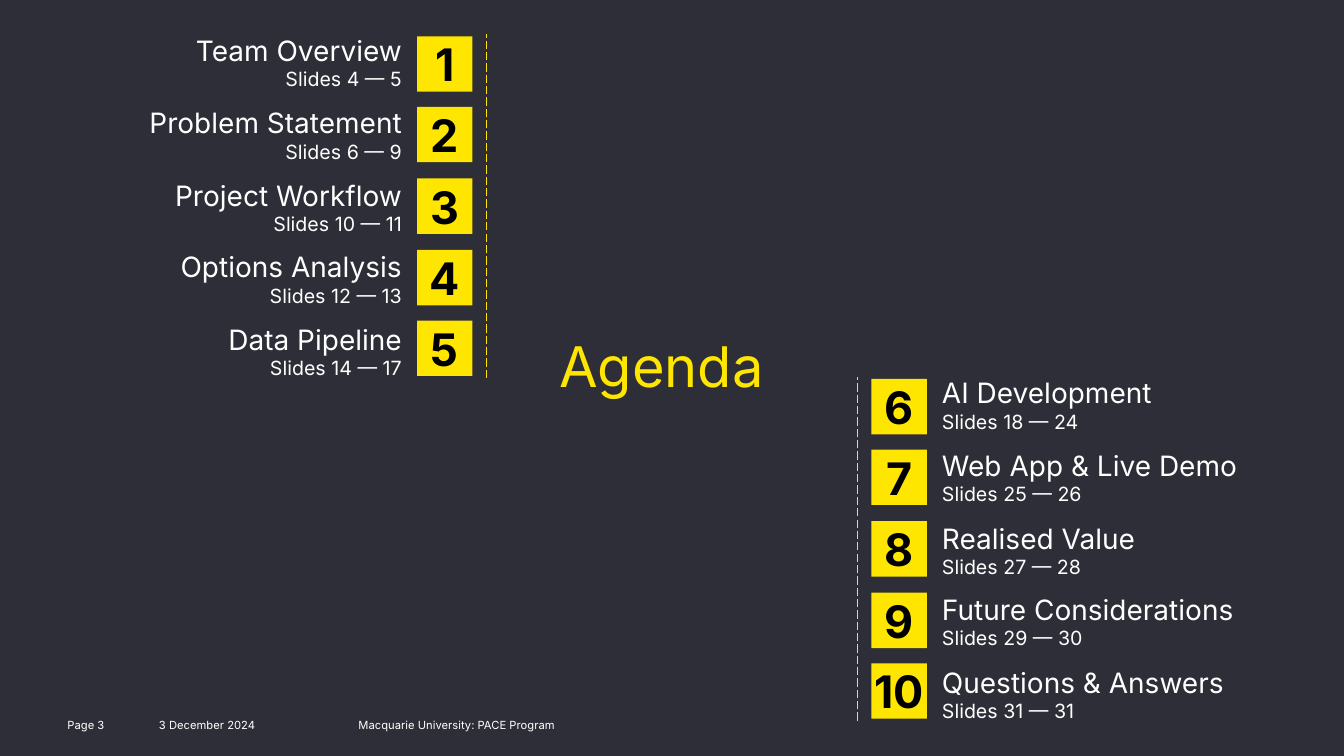
from lxml.etree import SubElement
from pptx import Presentation
from pptx.dml.color import RGBColor
from pptx.enum.dml import MSO_LINE_DASH_STYLE as Dash
from pptx.enum.shapes import MSO_CONNECTOR_TYPE as Link, MSO_SHAPE as Form
from pptx.enum.text import MSO_ANCHOR as Anchor, MSO_AUTO_SIZE as Fit, PP_ALIGN as Align
from pptx.oxml.ns import qn
from pptx.util import Pt

SCALE = 9144
FONT = "Inter"
DARK, GOLD, WHITE, BLACK = "2E2E38", "FFE600", "FFFFFF", "000000"
ROW, STEP = 71.75, 70.5

FIRST = [
    ("Team Overview", "Slides 4 — 5"),
    ("Problem Statement", "Slides 6 — 9"),
    ("Project Workflow", "Slides 10 — 11"),
    ("Options Analysis", "Slides 12 — 13"),
    ("Data Pipeline", "Slides 14 — 17"),
]
SECOND = [
    ("AI Development", "Slides 18 — 24"),
    ("Web App & Live Demo", "Slides 25 — 26"),
    ("Realised Value", "Slides 27 — 28"),
    ("Future Considerations", "Slides 29 — 30"),
    ("Questions & Answers", "Slides 31 — 31"),
]
FOOTER = [
    ("Page 3", 67, 73, 0),
    ("3 December 2024", 148, 130, 10),
    ("Macquarie University: PACE Program", 346, 338, 10),
]


def px(*sizes):
    return [size * SCALE for size in sizes]


def color(code):
    return RGBColor.from_string(code)


def add_run(para, text, size, code, bold=False):
    run = para.add_run()
    run.text = text
    font = run.font
    font.name, font.size, font.bold = FONT, Pt(size), bold
    font.color.rgb = color(code)


def set_frame(shape, align, anchor, pads=(0, 0, 0, 0)):
    frame = shape.text_frame
    frame.word_wrap = True
    frame.vertical_anchor = anchor
    (frame.margin_left, frame.margin_top,
     frame.margin_right, frame.margin_bottom) = px(*pads)
    para = frame.paragraphs[0]
    para.alignment = align
    return para


def add_label(slide, box, align, anchor=Anchor.TOP, pads=(0, 0, 0, 0)):
    return set_frame(slide.shapes.add_textbox(*px(*box)), align, anchor, pads)


def add_badge(slide, left, top, number):
    badge = slide.shapes.add_shape(Form.RECTANGLE, *px(left, top, 55, 55))
    badge.shadow.inherit = False
    badge.fill.solid()
    badge.fill.fore_color.rgb = color(GOLD)
    badge.line.fill.background()
    para = set_frame(badge, Align.CENTER, Anchor.MIDDLE)
    add_run(para, str(number), 32, BLACK, True)


def add_topic(slide, left, top, align, title, pages):
    box = slide.shapes.add_textbox(*px(left, top, 294, 57))
    para = set_frame(box, align, Anchor.TOP)
    box.text_frame.auto_size = Fit.SHAPE_TO_FIT_TEXT
    add_run(para, title, 20, WHITE)
    para.add_line_break()
    add_run(para, pages, 14, WHITE)


def add_rule(slide, x, top, bottom):
    rule = slide.shapes.add_connector(Link.STRAIGHT, *px(x, bottom, x, top))
    rule.line.color.rgb = color(GOLD)
    rule.line.width = Pt(0.75)
    rule.line.dash_style = Dash.LONG_DASH
    SubElement(rule.element.spPr, qn("a:effectLst"))


def add_list(slide, topics, start, top, rule, badge, label, align):
    add_rule(slide, rule, top, top + 341)
    for i, (title, pages) in enumerate(topics):
        add_badge(slide, badge, top + 2 + round(STEP * i), start + i)
        add_topic(slide, label, top - 1 + round(ROW * i), align, title, pages)


def main():
    deck = Presentation()
    deck.slide_width, deck.slide_height = px(1334, 750)
    slide = deck.slides.add_slide(deck.slide_layouts[6])
    slide.background.fill.solid()
    slide.background.fill.fore_color.rgb = color(DARK)

    for text, left, width, pad in FOOTER:
        para = add_label(slide, (left, 708, width, 20), Align.LEFT, pads=(pad, 5, 10, 5))
        add_run(para, text, 8, WHITE)

    title = add_label(slide, (462, 335, 389, 65), Align.CENTER, Anchor.MIDDLE)
    title.line_spacing = 0.85
    add_run(title, "Agenda", 40, GOLD)

    add_list(slide, FIRST, 1, 34, 483, 414, 105, Align.RIGHT)
    add_list(slide, SECOND, 6, 374, 851, 865, 935, Align.LEFT)
    deck.save("out.pptx")


if __name__ == "__main__":
    main()
